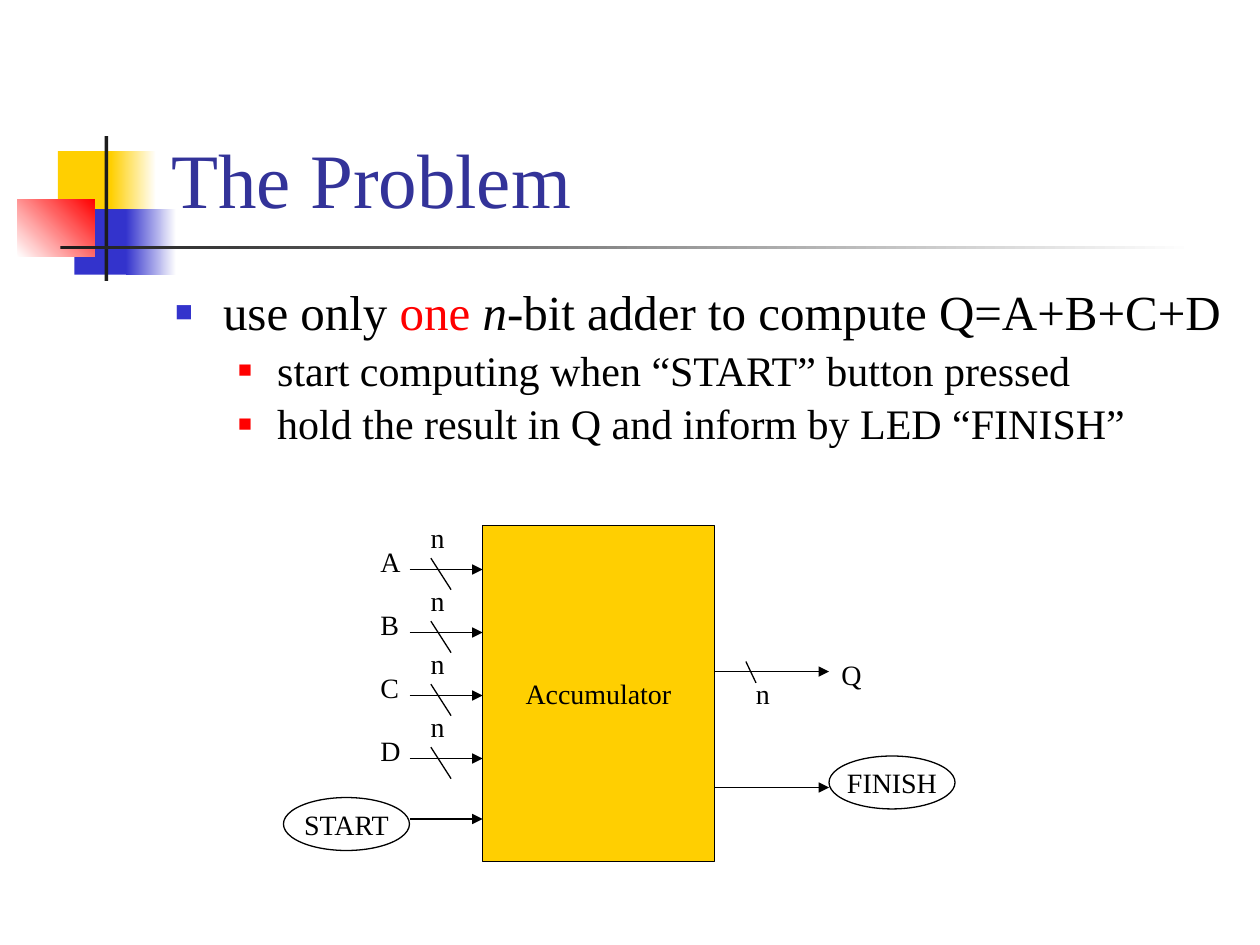
from dataclasses import dataclass

from lxml import etree
from pptx import Presentation
from pptx import util as u
from pptx.dml.color import RGBColor
from pptx.enum import shapes, text
from pptx.oxml import ns

Inches, Pt = u.Inches, u.Pt


@dataclass(frozen=True)
class Theme:
    font: str = "Times New Roman"
    title: str = "333399"
    ink: str = "000000"
    red: str = "FF0000"
    blue: str = "3333CC"
    yellow: str = "FFCF01"
    dark: str = "1C1C1C"
    white: str = "FFFFFF"
    title_size: int = 44
    body_size: int = 28
    sub_size: int = 24
    label_size: int = 16
    line: float = 0.75


T = Theme()


def rgb(color):
    return RGBColor.from_string(color)


def add_run(p, words, size, color=T.ink, italic=False):
    r = p.add_run()
    r.text = words
    r.font.name = T.font
    r.font.size = Pt(size)
    r.font.color.rgb = rgb(color)
    r.font.italic = italic


def place(sp, x, y, w, h):
    sp.left, sp.top, sp.width, sp.height = map(Inches, (x, y, w, h))


def add_node(s, kind, x, y, w, h, label="", fill=None, outlined=True):
    sp = s.shapes.add_shape(kind, *map(Inches, (x, y, w, h)))
    sp.shadow.inherit = False
    if fill:
        sp.fill.solid()
        sp.fill.fore_color.rgb = rgb(fill)
    else:
        sp.fill.background()
    if outlined:
        sp.line.color.rgb = rgb(T.ink)
        sp.line.width = Pt(T.line)
    else:
        sp.line.fill.background()
    if label:
        tf = sp.text_frame
        tf.word_wrap = False
        tf.vertical_anchor = text.MSO_ANCHOR.MIDDLE
        p = tf.paragraphs[0]
        p.alignment = text.PP_ALIGN.CENTER
        add_run(p, label, T.label_size)
    return sp


def add_label(s, x, y, words):
    sp = s.shapes.add_textbox(*map(Inches, (x, y, 0.35, 0.37)))
    sp.text_frame.word_wrap = False
    add_run(sp.text_frame.paragraphs[0], words, T.label_size)


def add_line(s, x1, y1, x2, y2, arrow=False):
    c = s.shapes.add_connector(shapes.MSO_CONNECTOR.STRAIGHT,
                               *map(Inches, (x1, y1, x2, y2)))
    c.line.color.rgb = rgb(T.ink)
    c.line.width = Pt(T.line)
    if arrow:
        etree.SubElement(c.line._get_or_add_ln(), ns.qn("a:tailEnd"), type="triangle")
    etree.SubElement(c._element.spPr, ns.qn("a:effectLst"))


def add_motif(s, x, y):
    blocks = [
        (0.32, 0.12, 0.48, 0.52, (T.yellow,), 0),
        (0.74, 0.12, 0.36, 0.52, (T.yellow, T.white), 0),
        (0.45, 0.58, 0.46, 0.52, (T.blue,), 0),
        (0.86, 0.58, 0.4, 0.52, (T.blue, T.white), 0),
        (0, 0.5, 0.61, 0.46, (T.white, T.red), 45),
        (0.69, 0, 0.03, 1.15, (T.dark,), 0),
        (0.34, 0.87, 9, 0.03, (T.dark, T.white), 0),
    ]
    for i, (dx, dy, w, h, colors, angle) in enumerate(blocks):
        sp = add_node(s, shapes.MSO_SHAPE.RECTANGLE, x + dx, y + dy, w, h,
                      fill=colors[0], outlined=False)
        if len(colors) > 1:
            sp.fill.gradient()
            sp.fill.gradient_angle = angle
            for stop, color in zip(sp.fill.gradient_stops, colors):
                stop.color.rgb = rgb(color)
        s.shapes._spTree.insert(2 + i, sp._element)


def add_title(s, x, y, w, h):
    sp = s.shapes.title
    place(sp, x, y, w, h)
    tf = sp.text_frame
    tf.auto_size = text.MSO_AUTO_SIZE.NONE
    tf.vertical_anchor = text.MSO_ANCHOR.BOTTOM
    p = tf.paragraphs[0]
    p.alignment = text.PP_ALIGN.LEFT
    add_run(p, "The Problem", T.title_size, T.title)


def set_bullet(p, color, percent, margin, indent):
    pPr = p._p.get_or_add_pPr()
    pPr.set("marL", str(Inches(margin)))
    pPr.set("indent", str(Inches(-indent)))
    clr = etree.SubElement(pPr, ns.qn("a:buClr"))
    etree.SubElement(clr, ns.qn("a:srgbClr"), val=color)
    etree.SubElement(pPr, ns.qn("a:buSzPct"), val=str(percent * 1000))
    etree.SubElement(pPr, ns.qn("a:buFont"), typeface=T.font)
    etree.SubElement(pPr, ns.qn("a:buChar"), char="■")


def add_body(s, x, y, w, h):
    sp = s.placeholders[1]
    place(sp, x, y, w, h)
    tf = sp.text_frame
    tf.auto_size = text.MSO_AUTO_SIZE.NONE
    tf.margin_top = Inches(0.08)
    tf.margin_right = Inches(0.05)
    items = [
        (0, [("use only ", T.ink, False), ("one ", T.red, False), ("n", T.ink, True),
             ("-bit adder to compute Q=A+B+C+D", T.ink, False)]),
        (1, [("start computing when “START” button pressed", T.ink, False)]),
        (1, [("hold the result in Q and inform by LED “FINISH”", T.ink, False)]),
    ]
    for i, (level, runs) in enumerate(items):
        p = tf.add_paragraph() if i else tf.paragraphs[0]
        size = T.sub_size if level else T.body_size
        p.level = level
        p.line_spacing = 0.9
        p.space_before = Pt(0.2 * size if i else 0)
        if level:
            set_bullet(p, T.red, 55, 0.81, 0.31)
        else:
            set_bullet(p, T.blue, 60, 0.38, 0.38)
        for words, color, italic in runs:
            add_run(p, words, size, color, italic)


def add_diagram(s, x, y):
    left, right, out = x + 1.58, x + 3.42, x + 4.33
    add_node(s, shapes.MSO_SHAPE.RECTANGLE, left, y, right - left, 2.67,
             "Accumulator", T.yellow)
    for i, name in enumerate("ABCD"):
        row = y + 0.35 + 0.5 * i
        add_line(s, x + 1, row, left, row, arrow=True)
        add_line(s, x + 1.17, row - 0.09, x + 1.33, row + 0.16)
        add_label(s, x + 1.07, row - 0.44, "n")
        add_label(s, x + 0.67, row - 0.25, name)

    add_line(s, x + 1, y + 2.33, left, y + 2.33, arrow=True)
    add_node(s, shapes.MSO_SHAPE.OVAL, x, y + 2.16, 1, 0.42, "START")

    add_line(s, right, y + 1.16, out, y + 1.16, arrow=True)
    add_line(s, x + 3.67, y + 1.08, x + 3.75, y + 1.25)
    add_label(s, x + 3.65, y + 1.15, "n")
    add_label(s, out, y + 1, "Q")

    add_line(s, right, y + 2.08, out, y + 2.08, arrow=True)
    add_node(s, shapes.MSO_SHAPE.OVAL, out, y + 1.83, 1, 0.42, "FINISH")


def main():
    prs = Presentation()
    prs.slide_width, prs.slide_height = Inches(10), Inches(7.5)
    s = prs.slides.add_slide(prs.slide_layouts[1])
    add_motif(s, 0.14, 1.08)
    add_title(s, 1.26, 0.23, 8.52, 1.6)
    add_body(s, 1.29, 2.21, 8.5, 1.46)
    add_diagram(s, 2.25, 4.17)
    prs.save("out.pptx")


if __name__ == "__main__":
    main()
